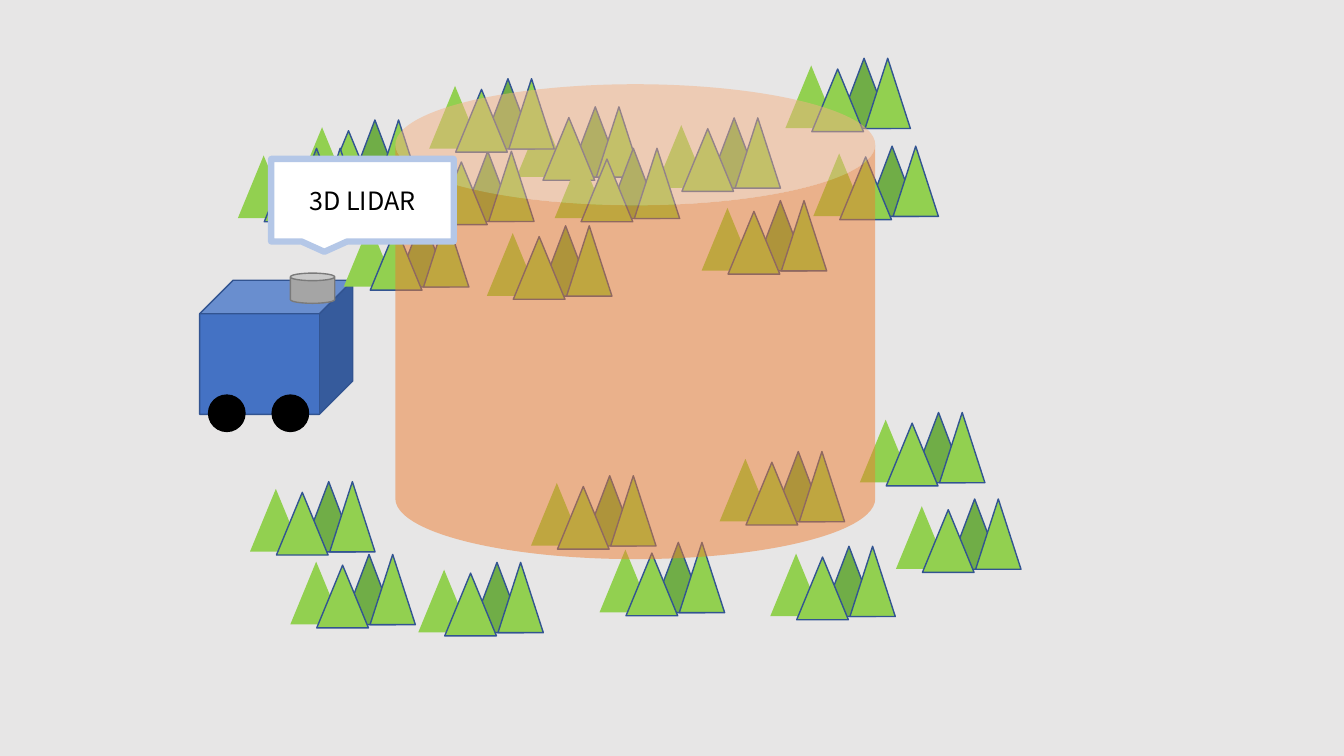
from lxml import etree
from pptx import Presentation
from pptx.dml.color import RGBColor
from pptx.enum import shapes, text
from pptx.oxml import ns
from pptx.util import Pt

GROUND = RGBColor(0xE7, 0xE6, 0xE6)
NAVY = RGBColor(0x32, 0x54, 0x91)
BLUE = RGBColor(0x44, 0x72, 0xC4)
PALE_BLUE = RGBColor(0xB4, 0xC7, 0xE7)
BLACK = RGBColor(0, 0, 0)
WHITE = RGBColor(0xFF, 0xFF, 0xFF)
GRAY = RGBColor(0xA5, 0xA5, 0xA5)
DARK_GRAY = RGBColor(0x7A, 0x7A, 0x7A)
LIGHT_GREEN = RGBColor(0x92, 0xD0, 0x50)
GREEN = RGBColor(0x70, 0xAD, 0x47)
ORANGE = RGBColor(0xED, 0x7D, 0x31)
PRESET = shapes.MSO_SHAPE


def draw(parent, preset, left, top, width, height, fill, line=None, weight=1):
    shape = parent.shapes.add_shape(preset, Pt(left), Pt(top), Pt(width), Pt(height))
    shape.shadow.inherit = False
    shape.fill.solid()
    shape.fill.fore_color.rgb = fill
    if line is None:
        shape.line.fill.background()
    else:
        shape.line.color.rgb = line
        shape.line.width = Pt(weight)
    return shape


prs = Presentation()
prs.slide_width, prs.slide_height = Pt(960), Pt(540)
slide = prs.slides.add_slide(prs.slide_layouts[6])

draw(slide, PRESET.RECTANGLE, -78.5, -105, 1065, 751, GROUND, NAVY)

robot = slide.shapes.add_group_shape()
draw(robot, PRESET.CUBE, 142.6, 200.2, 109.4, 95.8, BLUE, NAVY)
for wheel_left in (149, 194.4):
    draw(robot, PRESET.FLOWCHART_CONNECTOR, wheel_left, 282.2, 26, 26, BLACK, BLACK)
draw(robot, PRESET.CAN, 207.4, 195.1, 31.7, 21.6, GRAY, DARK_GRAY)

TREES = [
    (0, 5.2, 36.9, 44.8, LIGHT_GREEN, None),
    (37.2, 0, 38, 50.2, GREEN, NAVY),
    (18.9, 7.7, 36.9, 44.8, LIGHT_GREEN, NAVY),
    (56.9, 0, 32.4, 50.2, LIGHT_GREEN, NAVY),
]
GROVES = [
    (369, 76.3), (501.2, 143.3), (468.2, 84.2), (211.6, 85.7), (514, 322.5),
    (379.3, 339.8), (178.6, 344), (298.8, 401.7), (561, 41.6), (550.2, 390.2),
    (292.2, 108), (581, 104.4), (614.2, 294.6), (207.4, 396), (396.2, 105.9),
    (169.9, 105.9), (245.6, 154.8), (640, 356.4), (428.3, 387.4), (306.6, 56.2),
    (347.8, 161.3),
]
for grove_left, grove_top in GROVES:
    grove = slide.shapes.add_group_shape()
    for dx, dy, width, height, fill, line in TREES:
        draw(grove, PRESET.ISOSCELES_TRIANGLE, grove_left + dx, grove_top + dy,
             width, height, fill, line)

scan_volume = draw(slide, PRESET.CAN, 282.4, 60.2, 342.8, 339.2, ORANGE)
scan_volume.adjustments[0] = 0.255
scan_color = scan_volume.fill._xPr.find(".//" + ns.qn("a:srgbClr"))
etree.SubElement(scan_color, ns.qn("a:alpha"), val="50000")

lidar_label = draw(slide, PRESET.RECTANGULAR_CALLOUT, 193.7, 113.5, 130.4, 59,
                   WHITE, PALE_BLUE, 4.5)
lidar_label.text_frame.vertical_anchor = text.MSO_ANCHOR.MIDDLE
lidar_text = lidar_label.text_frame.paragraphs[0]
lidar_text.text = "3D LIDAR"
lidar_text.alignment = text.PP_ALIGN.CENTER
for attribute, value in {"name": "Noto Sans CJK JP", "size": Pt(18)}.items():
    setattr(lidar_text.runs[0].font, attribute, value)
lidar_text.runs[0].font.color.rgb = BLACK

prs.save("out.pptx")
